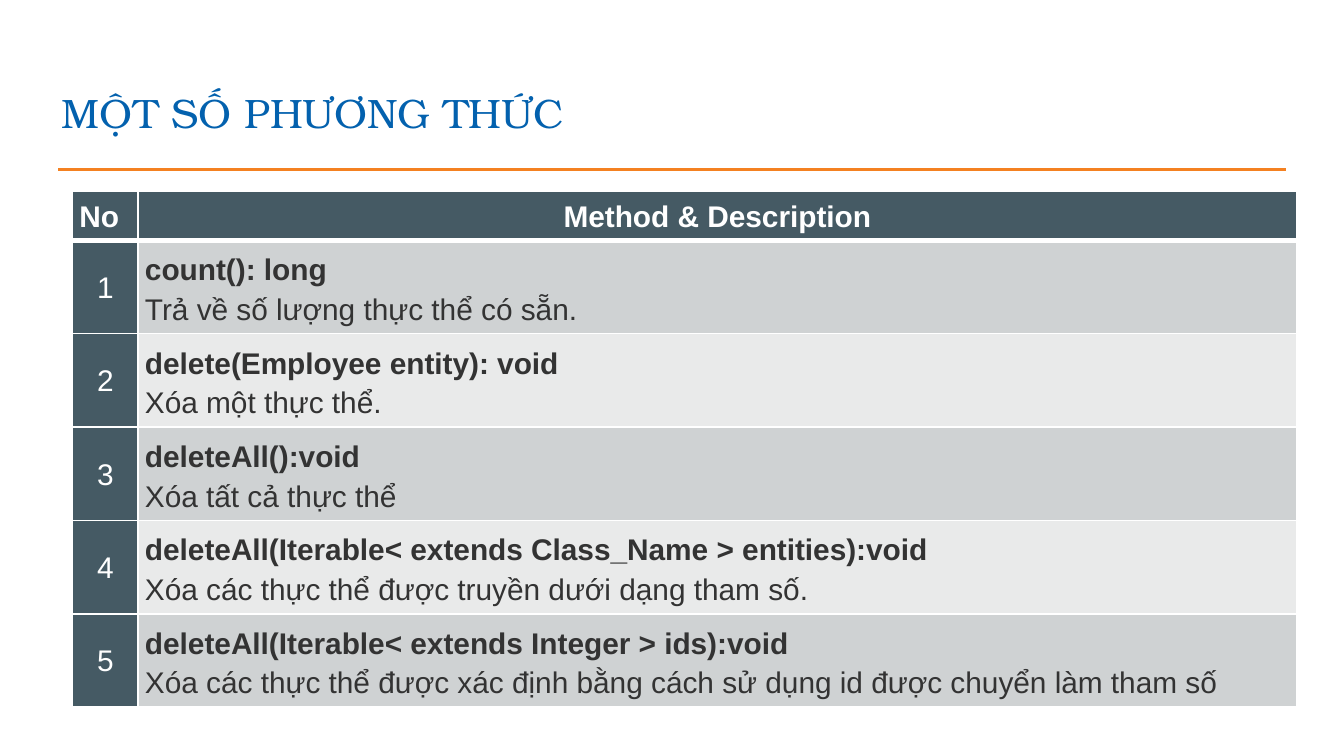
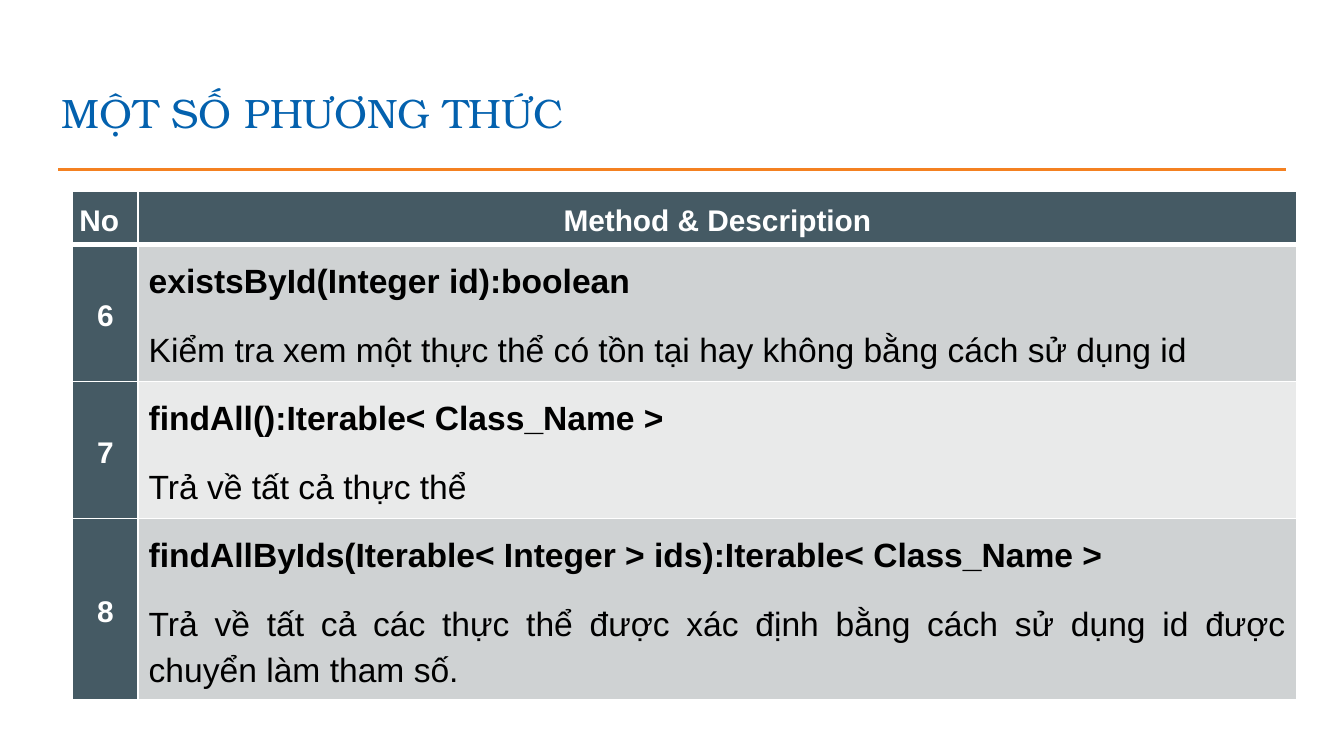
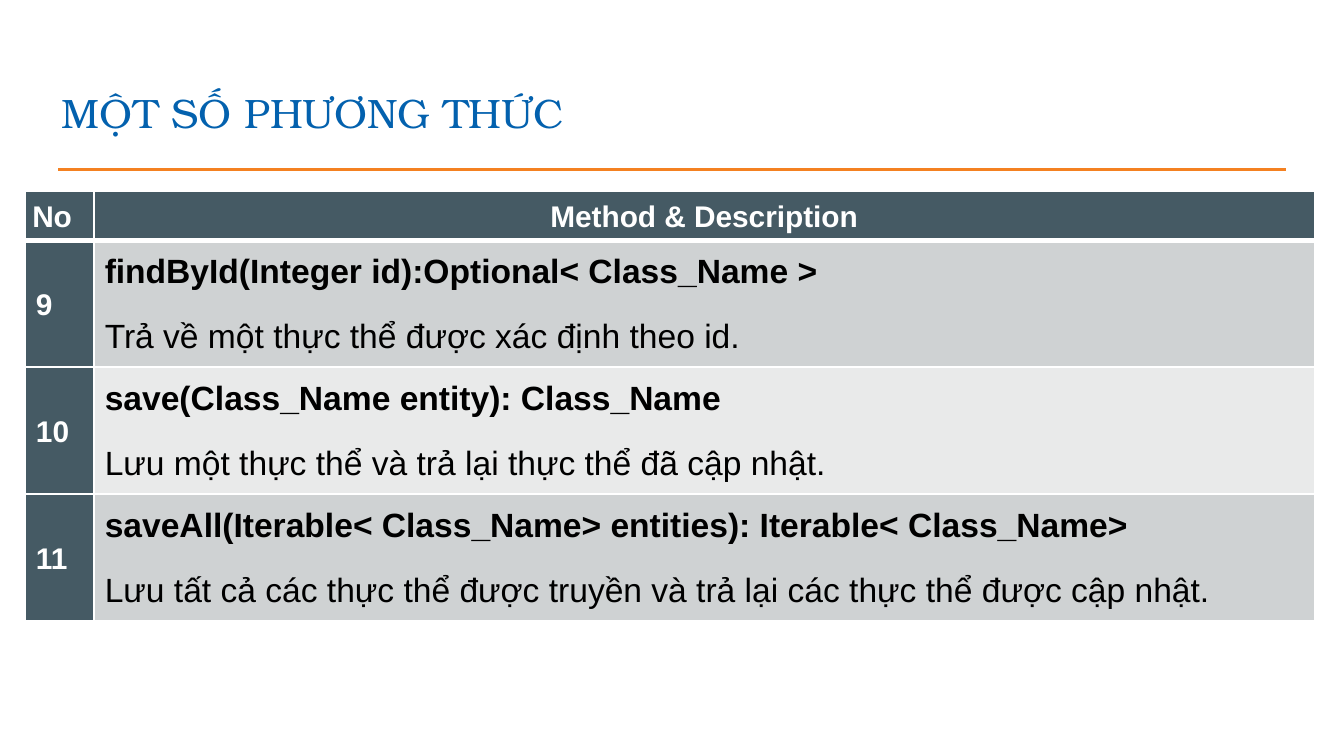
"""Build three slides that list repository methods in tables."""
from dataclasses import dataclass

from lxml import etree
from pptx import Presentation
from pptx.dml.color import RGBColor
from pptx.enum.shapes import MSO_CONNECTOR
from pptx.enum.text import MSO_ANCHOR, MSO_AUTO_SIZE, PP_ALIGN
from pptx.oxml.ns import qn
from pptx.util import Cm, Pt

LEFT, CENTER, JUSTIFY = PP_ALIGN.LEFT, PP_ALIGN.CENTER, PP_ALIGN.JUSTIFY
TOP, MIDDLE, BOTTOM = MSO_ANCHOR.TOP, MSO_ANCHOR.MIDDLE, MSO_ANCHOR.BOTTOM
STRAIGHT = MSO_CONNECTOR.STRAIGHT
NO_FIT = MSO_AUTO_SIZE.NONE


@dataclass(frozen=True)
class Theme:
    title_font: str = "TeX Gyre Bonum"
    body_font: str = "Arial"
    title_size: float = 22
    label_size: float = 16
    large_size: float = 18
    title: str = "0361AE"
    rule: str = "F48121"
    dark: str = "455A64"
    bands: tuple = ("CFD2D3", "E9EAEA")
    white: str = "FFFFFF"
    gray: str = "333333"
    black: str = "000000"


THEME = Theme()
TITLE = "MỘT SỐ PHƯƠNG THỨC"
HEADINGS = ("No", "Method & Description")
TABLE_TOP = 3.61
HEADER_PADDING = 0.13

ROOMY = {
    "size": THEME.large_size, "color": THEME.black, "padding": 0.2,
    "anchor": TOP, "number_bold": True, "before": 6, "after": 7.2,
}

SECTIONS = [
    {
        "first": 1, "left": 1.37, "columns": (1.24, 21.9),
        "header_height": 0.92, "heights": (1.74,) * 5,
        "header_spacing": 1.07, "number_spacing": 1.07, "spacing": 1.2,
        "size": THEME.label_size, "color": THEME.gray, "padding": 0.13,
        "anchor": MIDDLE, "number_bold": False, "number_align": CENTER,
        "before": 0, "after": 0,
        "methods": [
            ("count(): long", "Trả về số lượng thực thể có sẵn."),
            ("delete(Employee entity): void", "Xóa một thực thể."),
            ("deleteAll():void", "Xóa tất cả thực thể"),
            ("deleteAll(Iterable< extends Class_Name > entities):void",
             "Xóa các thực thể được truyền dưới dạng tham số."),
            ("deleteAll(Iterable< extends Integer > ids):void",
             "Xóa các thực thể được xác định bằng cách sử dụng id được "
             "chuyển làm tham số"),
        ],
    },
    {
        **ROOMY,
        "first": 6, "left": 1.37, "columns": (1.24, 21.9),
        "header_height": 0.99, "heights": (2.59, 2.59, 3.43),
        "header_spacing": 1.2, "number_spacing": 1.2, "spacing": 1.2,
        "number_align": CENTER,
        "methods": [
            ("existsById(Integer id):boolean",
             "Kiểm tra xem một thực thể có tồn tại hay không bằng cách "
             "sử dụng id"),
            ("findAll():Iterable< Class_Name >", "Trả về tất cả thực thể"),
            ("findAllByIds(Iterable< Integer > ids):Iterable< Class_Name >",
             "Trả về tất cả các thực thể được xác định bằng cách sử dụng id "
             "được chuyển làm tham số."),
        ],
    },
    {
        **ROOMY,
        "first": 9, "left": 0.48, "columns": (1.3, 23.06),
        "header_height": 0.92, "heights": (2.4,) * 3,
        "header_spacing": 1.07, "number_spacing": 1.07, "spacing": 1.07,
        "number_align": LEFT,
        "methods": [
            ("findById(Integer id):Optional< Class_Name >",
             "Trả về một thực thể được xác định theo id."),
            ("save(Class_Name entity): Class_Name",
             "Lưu một thực thể và trả lại thực thể đã cập nhật."),
            ("saveAll(Iterable< Class_Name> entities): Iterable< Class_Name>",
             "Lưu tất cả các thực thể được truyền và trả lại các thực thể "
             "được cập nhật."),
        ],
    },
]


def add_run(paragraph, text, size, color, bold=False, font=THEME.body_font):
    run = paragraph.add_run()
    run.text = text
    run.font.name = font
    run.font.size = Pt(size)
    run.font.bold = bold
    run.font.color.rgb = RGBColor.from_string(color)


def add_heading(slide):
    title = slide.shapes.title
    title.left, title.top = Cm(0.66), Cm(1.24)
    title.width, title.height = Cm(23.67), Cm(1.6)
    frame = title.text_frame
    frame.auto_size = NO_FIT
    frame.word_wrap = True
    frame.vertical_anchor = BOTTOM
    frame.margin_left = Cm(0.51)
    frame.margin_top = frame.margin_right = frame.margin_bottom = Cm(0.25)
    paragraph = frame.paragraphs[0]
    paragraph.alignment = LEFT
    add_run(paragraph, TITLE, THEME.title_size, THEME.title,
            font=THEME.title_font)

    rule = slide.shapes.add_connector(
        STRAIGHT, Cm(1.1), Cm(3.2), Cm(24.3), Cm(3.2))
    rule.line.color.rgb = RGBColor.from_string(THEME.rule)
    rule.line.width = Pt(1.5)
    etree.SubElement(rule.element.spPr, qn("a:effectLst"))


def format_cell(cell, fill, padding, anchor):
    cell.margin_left = cell.margin_right = Cm(padding)
    cell.margin_top = cell.margin_bottom = Cm(padding)
    cell.vertical_anchor = anchor
    cell.fill.solid()
    cell.fill.fore_color.rgb = RGBColor.from_string(fill)


def add_label(cell, text, padding, anchor, align, spacing, bold):
    format_cell(cell, THEME.dark, padding, anchor)
    paragraph = cell.text_frame.paragraphs[0]
    paragraph.alignment = align
    paragraph.line_spacing = spacing
    add_run(paragraph, text, THEME.label_size, THEME.white, bold)


def add_method(cell, method, fill, section):
    format_cell(cell, fill, section["padding"], section["anchor"])
    frame = cell.text_frame
    for index, text in enumerate(method):
        paragraph = frame.add_paragraph() if index else frame.paragraphs[0]
        paragraph.alignment = JUSTIFY
        paragraph.line_spacing = section["spacing"]
        paragraph.space_before = Pt(section["before"] if index else 0)
        paragraph.space_after = Pt(section["after"])
        add_run(paragraph, text, section["size"], section["color"],
                bold=index == 0)


def add_borders(table_frame):
    for row_index, row in enumerate(table_frame.element.iter(qn("a:tr"))):
        widths = {
            "L": 1, "R": 1,
            "T": 3 if row_index == 1 else 1,
            "B": 3 if row_index == 0 else 1,
        }
        for properties in row.iter(qn("a:tcPr")):
            for position, (side, width) in enumerate(widths.items()):
                border = etree.Element(qn(f"a:ln{side}"), w=str(Pt(width)))
                paint = etree.SubElement(border, qn("a:solidFill"))
                etree.SubElement(paint, qn("a:srgbClr"), val=THEME.white)
                properties.insert(position, border)


def add_methods_table(slide, section):
    methods, columns = section["methods"], section["columns"]
    heights = (section["header_height"], *section["heights"])
    table_frame = slide.shapes.add_table(
        len(heights), len(columns), Cm(section["left"]), Cm(TABLE_TOP),
        Cm(sum(columns)), Cm(sum(heights)))
    table = table_frame.table
    table.horz_banding = False
    for column, width in zip(table.columns, columns):
        column.width = Cm(width)
    for row, height in zip(table.rows, heights):
        row.height = Cm(height)

    for index, (heading, align) in enumerate(zip(HEADINGS, (LEFT, CENTER))):
        add_label(table.cell(0, index), heading, HEADER_PADDING, TOP, align,
                  section["header_spacing"], True)
    for index, method in enumerate(methods):
        add_label(table.cell(index + 1, 0), str(section["first"] + index),
                  section["padding"], MIDDLE, section["number_align"],
                  section["number_spacing"], section["number_bold"])
        fill = THEME.bands[index % len(THEME.bands)]
        add_method(table.cell(index + 1, 1), method, fill, section)
    add_borders(table_frame)


def main():
    deck = Presentation()
    deck.slide_width, deck.slide_height = Cm(25.4), Cm(14.29)
    title_only = deck.slide_layouts[5]
    for section in SECTIONS:
        slide = deck.slides.add_slide(title_only)
        add_heading(slide)
        add_methods_table(slide, section)
    deck.save("out.pptx")


if __name__ == "__main__":
    main()
